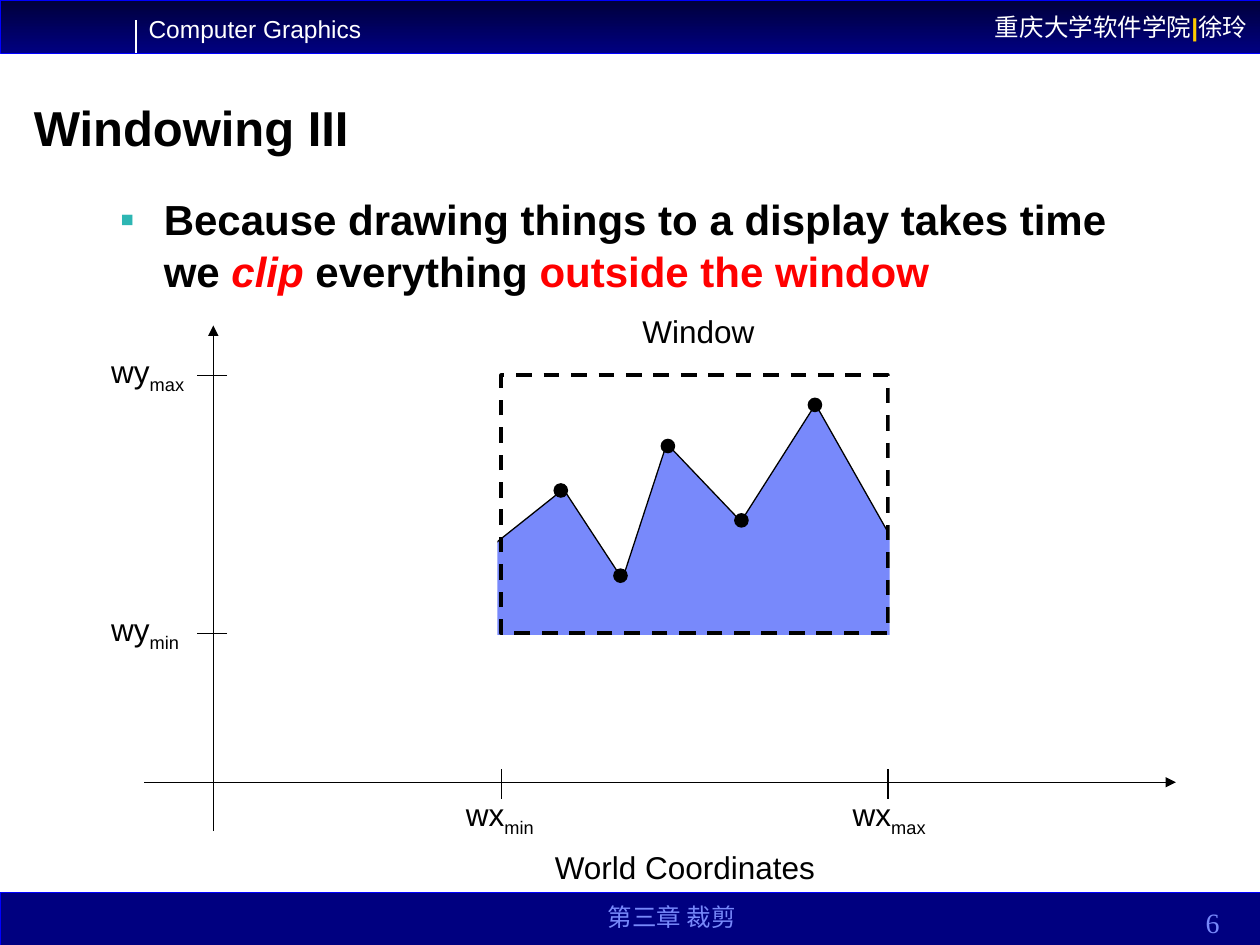
from dataclasses import dataclass

import lxml.etree
import pptx
import pptx.dml.color
import pptx.enum.dml
import pptx.enum.shapes
import pptx.enum.text
import pptx.oxml.ns
import pptx.util

Pt = pptx.util.Pt
RGBColor = pptx.dml.color.RGBColor
Align = pptx.enum.text.PP_ALIGN
Anchor = pptx.enum.text.MSO_ANCHOR
Preset = pptx.enum.shapes.MSO_SHAPE

BLACK = RGBColor(0x00, 0x00, 0x00)
WHITE = RGBColor(0xFF, 0xFF, 0xFF)
MIDNIGHT = RGBColor(0x00, 0x00, 0x3B)
NAVY = RGBColor(0x00, 0x00, 0x80)
BLUE = RGBColor(0x00, 0x00, 0xFF)
PERIWINKLE = RGBColor(0x78, 0x89, 0xFB)
GOLD = RGBColor(0xFF, 0xCC, 0x00)
RED = RGBColor(0xFF, 0x00, 0x00)
TEAL = RGBColor(0x2D, 0xB6, 0xB3)

SLIDE_WIDTH, SLIDE_HEIGHT, BAND_HEIGHT = 720, 540, 30.25
X_MIN, X_MAX, Y_TOP, Y_BOTTOM = 286.5, 507.5, 214.5, 362
AXIS_X, AXIS_Y = 121.9, 447
TICK_HALF = 8.5
DOT_RADIUS = 4.2
MOUNTAINS = [(144.7, 420.5), (322, 279.5), (355.7, 331), (381, 253.5),
             (423.4, 298), (466, 231), (575.3, 424)]
DOTS = [(320.5, 280.3), (354.6, 329), (381.7, 254.9), (423.7, 297.4), (465.7, 231.4)]


@dataclass(frozen=True)
class Box:
    left: float
    top: float
    width: float
    height: float

    def lengths(self) -> list:
        return [Pt(v) for v in (self.left, self.top, self.width, self.height)]


@dataclass(frozen=True)
class Span:
    text: str
    color: RGBColor = BLACK
    bold: bool = False
    italic: bool = False
    baseline: int = 0


@dataclass(frozen=True)
class Label:
    box: Box
    spans: tuple
    size: float = 18
    font: str = "Arial"
    align: Align = Align.LEFT
    anchor: Anchor = Anchor.TOP
    wrap: bool = False


@dataclass(frozen=True)
class Line:
    x1: float
    y1: float
    x2: float
    y2: float
    color: RGBColor = BLACK
    arrow: bool = False


def add_xml(parent, tag: str, **attributes: str):
    return lxml.etree.SubElement(parent, pptx.oxml.ns.qn(tag), attributes)


def fill_text(frame, label: Label):
    frame.word_wrap = label.wrap
    frame.vertical_anchor = label.anchor
    paragraph = frame.paragraphs[0]
    paragraph.alignment = label.align
    for span in label.spans:
        run = paragraph.add_run()
        run.text = span.text
        run.font.name = label.font
        run.font.size = Pt(label.size)
        run.font.color.rgb = span.color
        run.font.bold = span.bold
        run.font.italic = span.italic
        if span.baseline:
            run._r.get_or_add_rPr().set("baseline", str(span.baseline))
    return paragraph


def add_label(slide, label: Label):
    return fill_text(slide.shapes.add_textbox(*label.box.lengths()).text_frame, label)


def style_shape(shape, fill=None, line=None, weight: float = 0.75):
    shape.shadow.inherit = False
    if fill is None:
        shape.fill.background()
    else:
        shape.fill.solid()
        shape.fill.fore_color.rgb = fill
    if line is None:
        shape.line.fill.background()
    else:
        shape.line.color.rgb = line
        shape.line.width = Pt(weight)


def add_preset(slide, preset: Preset, box: Box, fill=None, line=None, weight: float = 0.75):
    shape = slide.shapes.add_shape(preset, *box.lengths())
    style_shape(shape, fill, line, weight)
    return shape


def add_line(slide, line: Line) -> None:
    connector = slide.shapes.add_connector(
        pptx.enum.shapes.MSO_CONNECTOR.STRAIGHT,
        Pt(line.x1), Pt(line.y1), Pt(line.x2), Pt(line.y2))
    connector.line.color.rgb = line.color
    connector.line.width = Pt(0.75)
    if line.arrow:
        add_xml(connector.line._get_or_add_ln(), "a:tailEnd", type="triangle")
    add_xml(connector._element.spPr, "a:effectLst")


def add_bands(slide) -> None:
    header = add_preset(slide, Preset.RECTANGLE, Box(0, 0, SLIDE_WIDTH, BAND_HEIGHT),
                        NAVY, BLUE, 0.25)
    header.fill.gradient()
    header.fill.gradient_angle = 270
    for stop, color in zip(header.fill.gradient_stops, (MIDNIGHT, NAVY)):
        stop.color.rgb = color
    fill_text(header.text_frame, Label(
        Box(0, 0, SLIDE_WIDTH, BAND_HEIGHT),
        (Span("重庆大学软件学院", WHITE), Span("|", GOLD, bold=True), Span("徐玲", WHITE)),
        size=14, align=Align.RIGHT, anchor=Anchor.MIDDLE))
    add_preset(slide, Preset.RECTANGLE,
               Box(0, SLIDE_HEIGHT - BAND_HEIGHT, SLIDE_WIDTH, BAND_HEIGHT), NAVY, BLUE, 0.25)
    add_label(slide, Label(Box(77.8, 4.3, 136, 24.3), (Span("Computer Graphics", WHITE),), 14))
    add_line(slide, Line(77.8, 11.5, 77.8, BAND_HEIGHT, WHITE))
    add_label(slide, Label(Box(270, 508.3, 228, 27.4), (Span("第三章 裁剪", PERIWINKLE),),
                           14, "Times New Roman", Align.CENTER, Anchor.BOTTOM, True))
    add_label(slide, Label(Box(632, 512.6, 72, 27.4), (Span("6", PERIWINKLE),),
                           16, "Times New Roman", Align.RIGHT, Anchor.BOTTOM, True))


def add_title(slide) -> None:
    title = slide.shapes.title
    box = Box(12.2, 54.7, 649.4, 38.9)
    title.left, title.top, title.width, title.height = box.lengths()
    paragraph = fill_text(title.text_frame, Label(
        box, (Span("Windowing III", bold=True),), 28, anchor=Anchor.BOTTOM, wrap=True))
    paragraph.line_spacing = 0.9


def add_statement(slide) -> None:
    paragraph = add_label(slide, Label(Box(54, 105.8, 612, 72.7), (
        Span("Because drawing things to a display takes time we ", bold=True),
        Span("clip ", RED, True, True),
        Span("everything ", bold=True),
        Span("outside the window", RED, True)), 24, wrap=True))
    paragraph.line_spacing = 1.04
    properties = paragraph._p.get_or_add_pPr()
    properties.set("marL", str(Pt(32.5)))
    properties.set("indent", str(Pt(-25)))
    add_xml(add_xml(properties, "a:buClr"), "a:srgbClr", val=str(TEAL))
    add_xml(properties, "a:buFont", typeface="Arial")
    add_xml(properties, "a:buChar", char="▪")


def add_scene(slide) -> None:
    outline = [(Pt(x), Pt(y)) for x, y in MOUNTAINS]
    builder = slide.shapes.build_freeform(*outline[0], scale=1.0)
    builder.add_line_segments(outline[1:], close=True)
    style_shape(builder.convert_to_shape(), PERIWINKLE, BLACK)

    add_line(slide, Line(82.3, AXIS_Y, 672, AXIS_Y, arrow=True))
    add_line(slide, Line(AXIS_X, 475, AXIS_X, 186, arrow=True))
    window = add_preset(slide, Preset.RECTANGLE,
                        Box(X_MIN, Y_TOP, X_MAX - X_MIN, Y_BOTTOM - Y_TOP), None, BLACK, 2.25)
    window.line.dash_style = pptx.enum.dml.MSO_LINE.DASH
    for clipped in (Box(139, 152, 145.2, 283.7), Box(508.4, 147.6, 145.4, 283.7),
                    Box(200.9, 363, 357, 67)):
        add_preset(slide, Preset.RECTANGLE, clipped, WHITE)
    for x, y in DOTS:
        add_preset(slide, Preset.OVAL, Box(x - DOT_RADIUS, y - DOT_RADIUS,
                                           2 * DOT_RADIUS, 2 * DOT_RADIUS), BLACK)


def add_scale(slide) -> None:
    for y, limit in ((Y_TOP, "max"), (Y_BOTTOM, "min")):
        add_line(slide, Line(AXIS_X + TICK_HALF - 0.6, y, AXIS_X - TICK_HALF - 0.6, y))
        add_label(slide, Label(Box(56.5, y - 16.8, 56, 31.7),
                               (Span("wy"), Span(limit, baseline=-25000))))
    for x, limit in ((X_MIN, "min"), (X_MAX, "max")):
        add_line(slide, Line(x, AXIS_Y - 7.5, x, AXIS_Y + 9.5))
        add_label(slide, Label(Box(x - 27.3, 450.7, 56, 31.7),
                               (Span("wx"), Span(limit, baseline=-25000))))
    add_label(slide, Label(Box(310, 481, 163.4, 28.8), (Span("World Coordinates"),)))
    add_label(slide, Label(Box(360, 175, 78.5, 28.8), (Span("Window"),)))


def main() -> None:
    deck = pptx.Presentation()
    deck.slide_width, deck.slide_height = Pt(SLIDE_WIDTH), Pt(SLIDE_HEIGHT)
    slide = deck.slides.add_slide(deck.slide_layouts.get_by_name("Title Only"))
    for add_part in (add_bands, add_title, add_scene, add_statement, add_scale):
        add_part(slide)
    deck.save("out.pptx")


if __name__ == "__main__":
    main()
